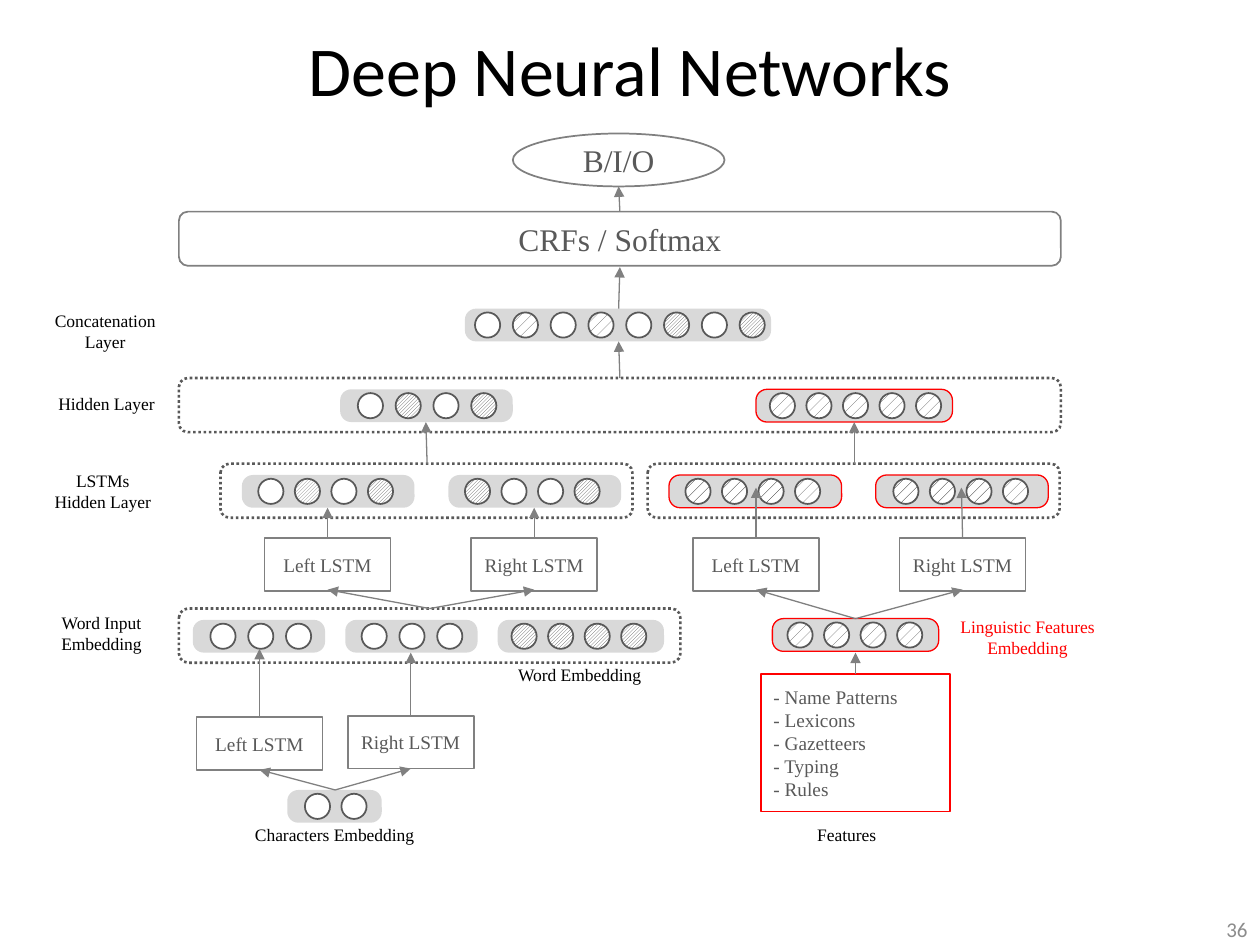
from lxml import etree
from pptx import Presentation
from pptx.dml.color import RGBColor
from pptx.enum import dml, shapes, text
from pptx.oxml import ns
from pptx.util import Inches, Pt

SERIF = "Times New Roman"
DARK, GREY, PALE = "595959", "808080", "D9D9D9"
RED, BLACK, WHITE = "FF0000", "000000", "FFFFFF"
SHAPE = shapes.MSO_SHAPE
CENTER, LEFT, RIGHT = text.PP_ALIGN.CENTER, text.PP_ALIGN.LEFT, text.PP_ALIGN.RIGHT
DENSE, SPARSE = dml.MSO_PATTERN.DARK_UPWARD_DIAGONAL, dml.MSO_PATTERN.PERCENT_20

# Letter for each kind of unit; "o" is a plain white one
PATTERNS = {"d": (DENSE, DARK), "g": (DENSE, GREY),
            "s": (SPARSE, DARK), "b": (SPARSE, BLACK)}

# Strips of units: left, top, width, first unit, gap, units, outline
STRIPS = [
    (2.28, 6.27, 0.75, 2.42, 0.29, "oo", None),
    (1.53, 4.92, 1.05, 1.67, 0.3, "ooo", None),
    (2.74, 4.92, 1.05, 2.87, 0.3, "ooo", None),
    (3.95, 4.92, 1.32, 4.06, 0.29, "dddd", None),
    (6.13, 4.91, 1.32, 6.25, 0.29, "ssss", RED),
    (1.92, 3.77, 1.37, 2.05, 0.29, "ogod", None),
    (3.56, 3.77, 1.37, 3.69, 0.29, "dood", None),
    (5.31, 3.77, 1.37, 5.44, 0.29, "bbbs", RED),
    (6.95, 3.77, 1.37, 7.09, 0.29, "bbbs", RED),
    (2.7, 3.09, 1.37, 2.84, 0.3, "odod", None),
    (6, 3.09, 1.56, 6.11, 0.29, "sssss", RED),
    (3.69, 2.45, 2.43, 3.77, 0.3, "ososodod", None),
]

# Dotted frames around layers: left, top, width
FRAMES = [(1.42, 4.83, 3.98), (1.75, 3.68, 3.27), (5.14, 3.68, 3.27), (1.42, 3, 7)]

LSTMS = [("Left LSTM", 1.56, 5.69), ("Right LSTM", 2.76, 5.68),
         ("Left LSTM", 2.1, 4.27), ("Right LSTM", 3.74, 4.27),
         ("Left LSTM", 5.5, 4.27), ("Right LSTM", 7.14, 4.27)]

ARROWS = [
    (2.66, 6.27, 3.26, 6.1), (2.66, 6.27, 2.06, 6.11),
    (3.26, 5.68, 3.26, 5.18), (2.06, 5.69, 2.06, 5.15),
    (3.41, 4.83, 4.24, 4.68), (3.41, 4.83, 2.6, 4.68),
    (2.6, 4.27, 2.6, 4.03), (4.24, 4.27, 4.24, 4.03),
    (3.39, 3.68, 3.38, 3.35), (6.79, 5.35, 6.79, 5.18),
    (6.79, 4.91, 7.64, 4.68), (6.79, 4.91, 6, 4.68),
    (6, 4.27, 6, 3.87), (7.64, 4.27, 7.63, 3.87),
    (6.78, 3.68, 6.78, 3.35), (4.92, 3, 4.91, 2.71),
    (4.91, 2.45, 4.92, 2.12), (4.92, 1.68, 4.91, 1.48),
]

# Labels: wording, left, top, width, height, colour, wrap
LABELS = [
    ("Concatenation Layer", 0.31, 2.41, 1.05, 0.44, BLACK, True),
    ("Hidden Layer", 0.33, 3.07, 1.03, 0.27, BLACK, True),
    ("LSTMs Hidden Layer", 0.3, 3.68, 1.03, 0.44, BLACK, True),
    ("Word Input Embedding", 0.33, 4.81, 0.95, 0.44, BLACK, True),
    ("Linguistic Features Embedding", 7.47, 4.84, 1.37, 0.44, RED, True),
    ("Word Embedding", 4, 5.22, 1.2, 0.27, BLACK, False),
    ("Characters Embedding", 1.91, 6.49, 1.49, 0.27, BLACK, False),
    ("Features", 6.38, 6.49, 0.68, 0.27, BLACK, False),
]

FEATURES = ["- Name Patterns", "- Lexicons", "- Gazetteers", "- Typing", "- Rules"]


def color(value):
    return RGBColor.from_string(value)


def write(shape, *lines, size, font=SERIF, fill=DARK, align=CENTER,
          anchor=text.MSO_ANCHOR.MIDDLE, wrap=True):
    frame = shape.text_frame
    frame.word_wrap = wrap
    frame.vertical_anchor = anchor
    frame.text = "\n".join(lines)
    for paragraph in frame.paragraphs:
        paragraph.alignment = align
        paragraph.font.name = font
        paragraph.font.size = Pt(size)
        paragraph.font.color.rgb = color(fill)


def add_box(slide, kind, left, top, width, height, fill=None, line=None, weight=1):
    shape = slide.shapes.add_shape(kind, Inches(left), Inches(top),
                                   Inches(width), Inches(height))
    shape.shadow.inherit = False
    if fill:
        shape.fill.solid()
        shape.fill.fore_color.rgb = color(fill)
    else:
        shape.fill.background()
    if line:
        shape.line.color.rgb = color(line)
        shape.line.width = Pt(weight)
    else:
        shape.line.fill.background()
    return shape


def add_strip(slide, left, top, width, first, gap, units, outline):
    strip = add_box(slide, SHAPE.ROUNDED_RECTANGLE, left, top, width, 0.26,
                    PALE, outline, 0.75)
    strip.adjustments[0] = 0.335
    for index, unit in enumerate(units):
        circle = add_box(slide, SHAPE.OVAL, first + index * gap, top + 0.03,
                         0.2, 0.2, WHITE, DARK)
        if unit in PATTERNS:
            pattern, ink = PATTERNS[unit]
            circle.fill.patterned()
            circle.fill.pattern = pattern
            circle.fill.fore_color.rgb = color(ink)
            circle.fill.back_color.rgb = color(WHITE)


def add_arrow(slide, *ends):
    arrow = slide.shapes.add_connector(shapes.MSO_CONNECTOR.STRAIGHT,
                                       *[Inches(end) for end in ends])
    arrow.line.color.rgb = color(GREY)
    arrow.line.width = Pt(0.75)
    etree.SubElement(arrow.line._get_or_add_ln(), ns.qn("a:tailEnd"), type="triangle")
    etree.SubElement(arrow._element.spPr, ns.qn("a:effectLst"))


def add_label(slide, wording, left, top, width, height, **style):
    label = slide.shapes.add_textbox(Inches(left), Inches(top),
                                     Inches(width), Inches(height))
    write(label, wording, **style)


def main():
    presentation = Presentation()
    presentation.slide_width, presentation.slide_height = Inches(10), Inches(7.5)
    slide = presentation.slides.add_slide(presentation.slide_layouts[5])

    # Title
    title = slide.shapes.title
    title.left, title.top = Inches(0), Inches(0)
    title.width, title.height = Inches(10), Inches(1.08)
    write(title, "Deep Neural Networks", size=40, font="Calibri", fill=BLACK)

    # Layers and their units
    for left, top, width in FRAMES:
        frame = add_box(slide, SHAPE.ROUNDED_RECTANGLE, left, top, width, 0.43,
                        line=DARK, weight=1.5)
        frame.line.dash_style = dml.MSO_LINE.ROUND_DOT
    for strip in STRIPS:
        add_strip(slide, *strip)

    # Output, classifier, LSTM and feature boxes
    output = add_box(slide, SHAPE.OVAL, 4.07, 1.06, 1.68, 0.42, line=GREY)
    write(output, "B/I/O", size=18)
    classifier = add_box(slide, SHAPE.ROUNDED_RECTANGLE, 1.42, 1.68, 7, 0.43, line=GREY)
    write(classifier, "CRFs / Softmax", size=18)
    for name, left, top in LSTMS:
        lstm = add_box(slide, SHAPE.RECTANGLE, left, top, 1, 0.42, WHITE, GREY)
        write(lstm, name, size=11)
    features = add_box(slide, SHAPE.RECTANGLE, 6.04, 5.35, 1.5, 1.09, line=RED)
    write(features, *FEATURES, size=11, align=LEFT)

    # Flow and labels
    for ends in ARROWS:
        add_arrow(slide, *ends)
    for wording, left, top, width, height, ink, wrap in LABELS:
        add_label(slide, wording, left, top, width, height, size=10, fill=ink,
                  wrap=wrap, anchor=text.MSO_ANCHOR.TOP)

    # Slide number
    add_label(slide, "36", 7.67, 7.25, 2.33, 0.25, size=12, font="Calibri",
              fill="8C8C8C", align=RIGHT)
    presentation.save("out.pptx")


if __name__ == "__main__":
    main()
